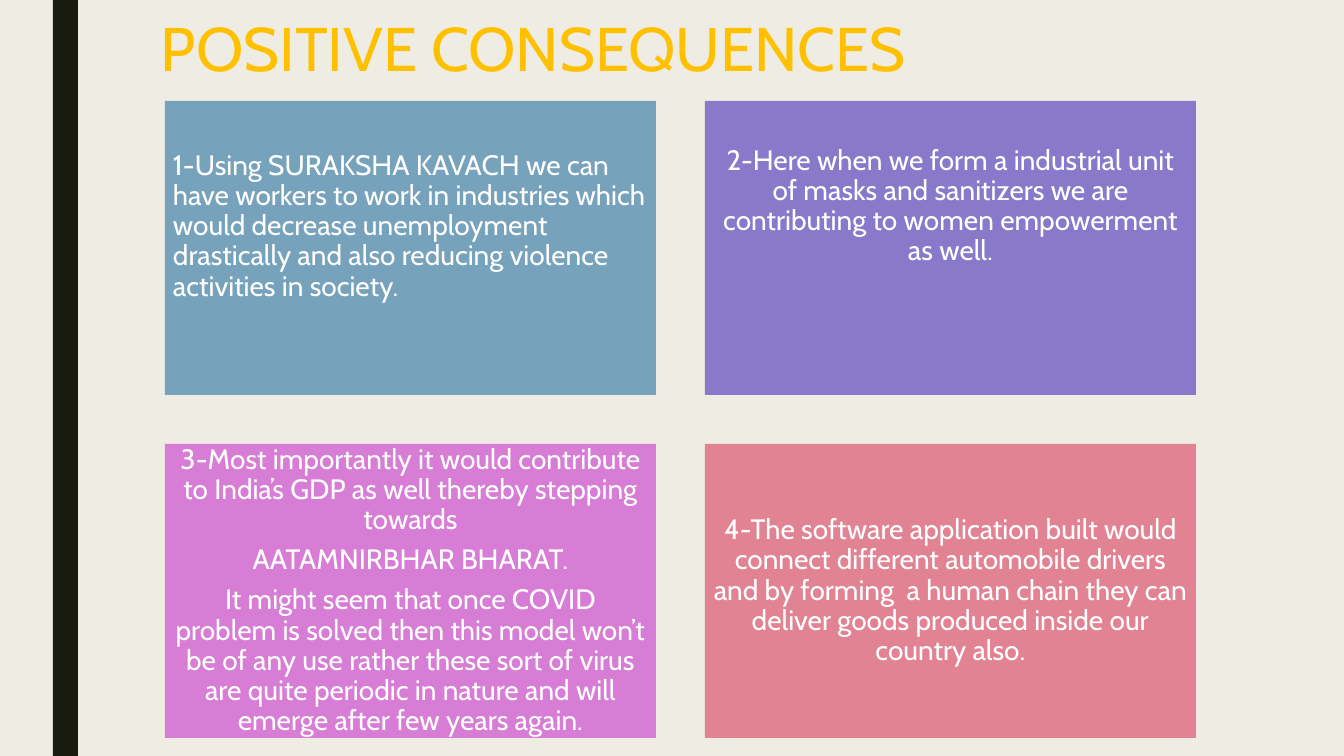
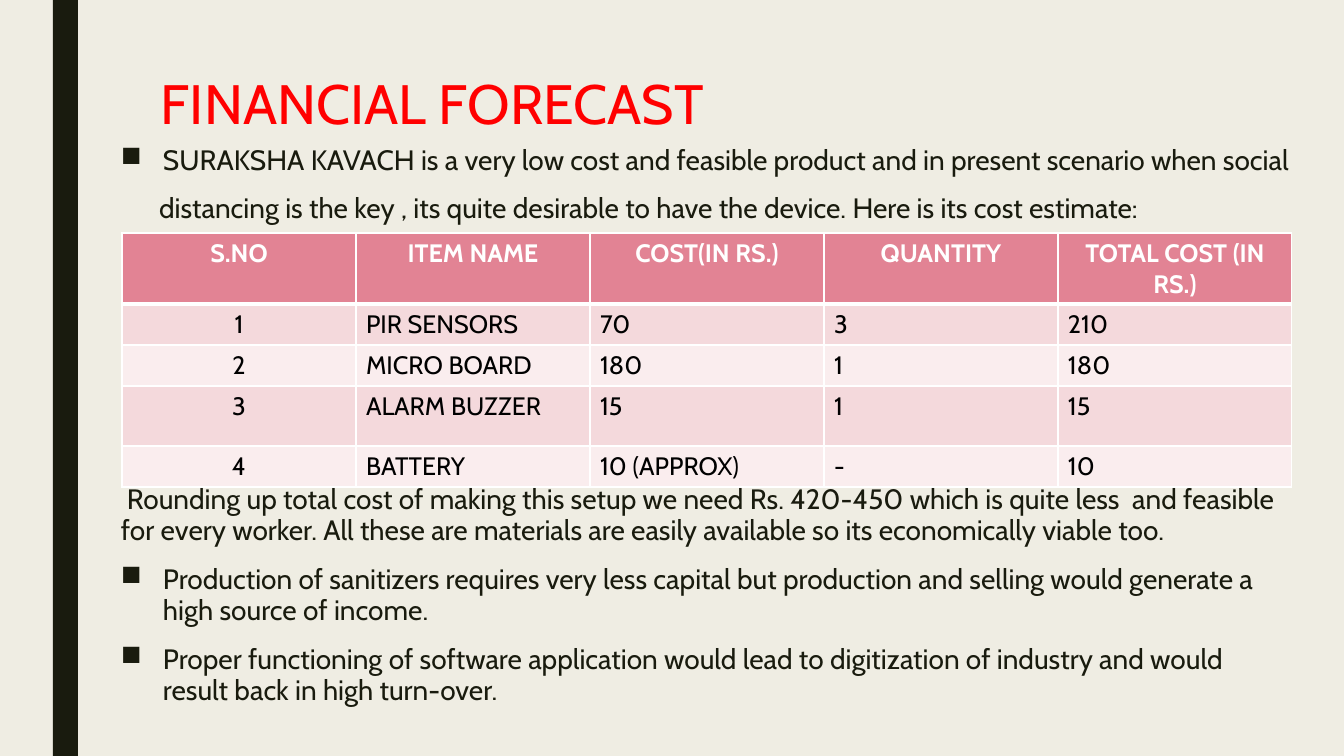
from lxml.etree import SubElement
from pptx import Presentation
from pptx.dml.color import RGBColor
from pptx.enum.shapes import MSO_SHAPE
from pptx.enum.text import MSO_ANCHOR, PP_ALIGN
from pptx.oxml import parse_xml
from pptx.oxml.ns import nsdecls, qn
from pptx.util import Pt

PX = 914400 / 100.8
WIDTH, HEIGHT = 1344, 756
FONT = "Cabin"
COLORS = {
    "background": "EFEDE3", "ink": "191B0E", "white": "FFFFFF", "black": "000000",
    "gold": "FFC000", "red": "FF0000", "blue": "77A2BB", "violet": "8879CA",
    "pink": "D77DD6", "rose": "E28394", "band_dark": "F4D9DC", "band_light": "FAEDEE",
}
TITLE = {"line_spacing": 0.89}
CARD = {"line_spacing": 0.9, "space_after": Pt(7), "alignment": PP_ALIGN.CENTER}
BODY = {"line_spacing": 0.94, "space_before": Pt(10), "space_after": Pt(2)}


def px(length):
    return round(length * PX)


def color(name):
    return RGBColor.from_string(COLORS[name])


def set_values(target, values):
    for name, value in values.items():
        setattr(target, name, value)


class Deck:
    def __init__(self):
        self.presentation = Presentation()
        set_values(self.presentation, {"slide_width": px(WIDTH), "slide_height": px(HEIGHT)})
        self.slide = None

    def add_slide(self):
        self.slide = self.presentation.slides.add_slide(self.presentation.slide_layouts[6])
        fill = self.slide.background.fill
        fill.solid()
        fill.fore_color.rgb = color("background")
        self.rectangle(53, 0, 25, HEIGHT, "ink")

    def rectangle(self, left, top, width, height, fill):
        shape = self.slide.shapes.add_shape(
            MSO_SHAPE.RECTANGLE, px(left), px(top), px(width), px(height))
        shape.shadow.inherit = False
        shape.fill.solid()
        shape.fill.fore_color.rgb = color(fill)
        shape.line.fill.background()
        return shape

    def paragraphs(self, frame, items, style, size, ink, bold=False):
        """Each item is a text with its left margin, first-line indent and bullet."""
        for index, (text, margin, indent, bullet) in enumerate(items):
            paragraph = frame.add_paragraph() if index else frame.paragraphs[0]
            properties = paragraph._p.get_or_add_pPr()
            properties.set("marL", str(px(margin)))
            properties.set("indent", str(px(indent)))
            if bullet:
                SubElement(properties, qn("a:buChar"), char=bullet)
            set_values(paragraph, style)
            if not index:
                paragraph.space_before = Pt(0)
            run = paragraph.add_run()
            run.text = text
            set_values(run.font, {"name": FONT, "size": Pt(size), "bold": bold})
            run.font.color.rgb = color(ink)

    def text(self, left, top, width, height, items, style, size, ink):
        box = self.slide.shapes.add_textbox(px(left), px(top), px(width), px(height))
        set_values(box.text_frame, {"word_wrap": True, "margin_left": 0, "margin_right": 0,
                                    "margin_top": 0, "margin_bottom": 0})
        self.paragraphs(box.text_frame, items, style, size, ink)

    def title(self, text, top, size, ink):
        self.text(161, top, 1038, 64, [plain(text)], TITLE, size, ink)

    def card(self, left, top, width, height, fill, texts, offset, alignment):
        frame = self.rectangle(left, top, width, height, fill).text_frame
        anchor = MSO_ANCHOR.TOP if offset else MSO_ANCHOR.MIDDLE
        set_values(frame, {"word_wrap": True, "vertical_anchor": anchor,
                           "margin_left": px(8), "margin_right": px(8),
                           "margin_top": px(offset or 8), "margin_bottom": px(8)})
        style = {**CARD, "alignment": alignment}
        self.paragraphs(frame, [plain(text) for text in texts], style, 20, "white")

    def borders(self, cell, widths):
        properties = cell._tc.get_or_add_tcPr()
        for index, (side, width) in enumerate(widths.items()):
            properties.insert(index, parse_xml(
                f'<a:ln{side} {nsdecls("a")} w="{Pt(width)}"><a:solidFill>'
                f'<a:srgbClr val="{COLORS["white"]}"/></a:solidFill></a:ln{side}>'))

    def table(self, left, top, column_width, row_heights, rows):
        columns = len(rows[0])
        table = self.slide.shapes.add_table(
            len(rows), columns, px(left), px(top),
            px(column_width * columns), px(sum(row_heights))).table
        for column in table.columns:
            column.width = px(column_width)
        for row, (height, values) in enumerate(zip(row_heights, rows)):
            table.rows[row].height = px(height)
            header = row == 0
            fill = "rose" if header else "band_dark" if row % 2 else "band_light"
            for column, value in enumerate(values):
                cell = table.cell(row, column)
                cell.fill.solid()
                cell.fill.fore_color.rgb = color(fill)
                self.borders(cell, {"L": 1, "R": 1, "T": 3 if row == 1 else 1,
                                    "B": 3 if header else 1})
                centred = header or column == 0
                style = {"alignment": PP_ALIGN.CENTER if centred else PP_ALIGN.LEFT}
                self.paragraphs(cell.text_frame, [plain(value)], style, 18,
                                "white" if header else "black", bold=header)


def plain(text, margin=0, indent=0):
    return text, margin, indent, None


def bulleted(text):
    return text, 42, -42, "■"


def positive_consequences(deck):
    deck.add_slide()
    deck.title("POSITIVE CONSEQUENCES", 19, 44, "gold")

    # Two by two cards: fill, paragraphs, text offset (None is centred), alignment
    cards = [
        ("blue", ["1-Using SURAKSHA KAVACH we can have workers to work in industries which "
                  "would decrease unemployment drastically and also reducing violence "
                  "activities in society."], 50, PP_ALIGN.LEFT),
        ("violet", ["2-Here when we form a industrial unit of masks and sanitizers we are "
                    "contributing to women empowerment as well."], 45, PP_ALIGN.CENTER),
        ("pink", ["3-Most importantly it would contribute to India’s GDP as well thereby "
                  "stepping towards",
                  "AATAMNIRBHAR BHARAT.",
                  "It might seem that once COVID problem is solved then this model won’t be "
                  "of any use rather these sort of virus are quite periodic in nature and "
                  "will emerge after few years again."], None, PP_ALIGN.CENTER),
        ("rose", ["4-The software application built would connect different automobile "
                  "drivers and by forming  a human chain they can deliver goods produced "
                  "inside our country also."], None, PP_ALIGN.CENTER),
    ]
    width, height, gap = 491, 294, 49
    for index, card in enumerate(cards):
        row, column = divmod(index, 2)
        deck.card(165 + column * (width + gap), 101 + row * (height + gap),
                  width, height, *card)


def financial_forecast(deck):
    deck.add_slide()
    deck.title("FINANCIAL FORECAST", 77, 39.6, "red")

    # Introduction above the table
    deck.text(121, 145, 1172, 85, [
        bulleted("SURAKSHA KAVACH is a very low cost and feasible product and in present "
                 "scenario when social"),
        plain("distancing is the key , its quite desirable to have the device. Here is its "
              "cost estimate:", margin=38),
    ], BODY, 20, "ink")

    # Cost estimate
    deck.table(122, 233, 234, [71, 41, 41, 60, 41], [
        ["S.NO", "ITEM NAME", "COST(IN RS.)", "QUANTITY", "TOTAL COST (IN RS.)"],
        ["1", "PIR SENSORS", "70", "3", "210"],
        ["2", "MICRO BOARD", "180", "1", "180"],
        ["3", "ALARM BUZZER", "15", "1", "15"],
        ["4", "BATTERY", "10 (APPROX)", "-", "10"],
    ])

    # Conclusions below the table
    deck.text(121, 484, 1172, 230, [
        plain("Rounding up total cost of making this setup we need Rs. 420-450 which is "
              "quite less  and feasible for every worker. All these are materials are "
              "easily available so its economically viable too.", indent=6),
        bulleted("Production of sanitizers requires very less capital but production and "
                 "selling would generate a high source of income."),
        bulleted("Proper functioning of software application would lead to digitization of "
                 "industry and would result back in high turn-over."),
    ], BODY, 20, "ink")


def main():
    deck = Deck()
    positive_consequences(deck)
    financial_forecast(deck)
    deck.presentation.save("out.pptx")


if __name__ == "__main__":
    main()
